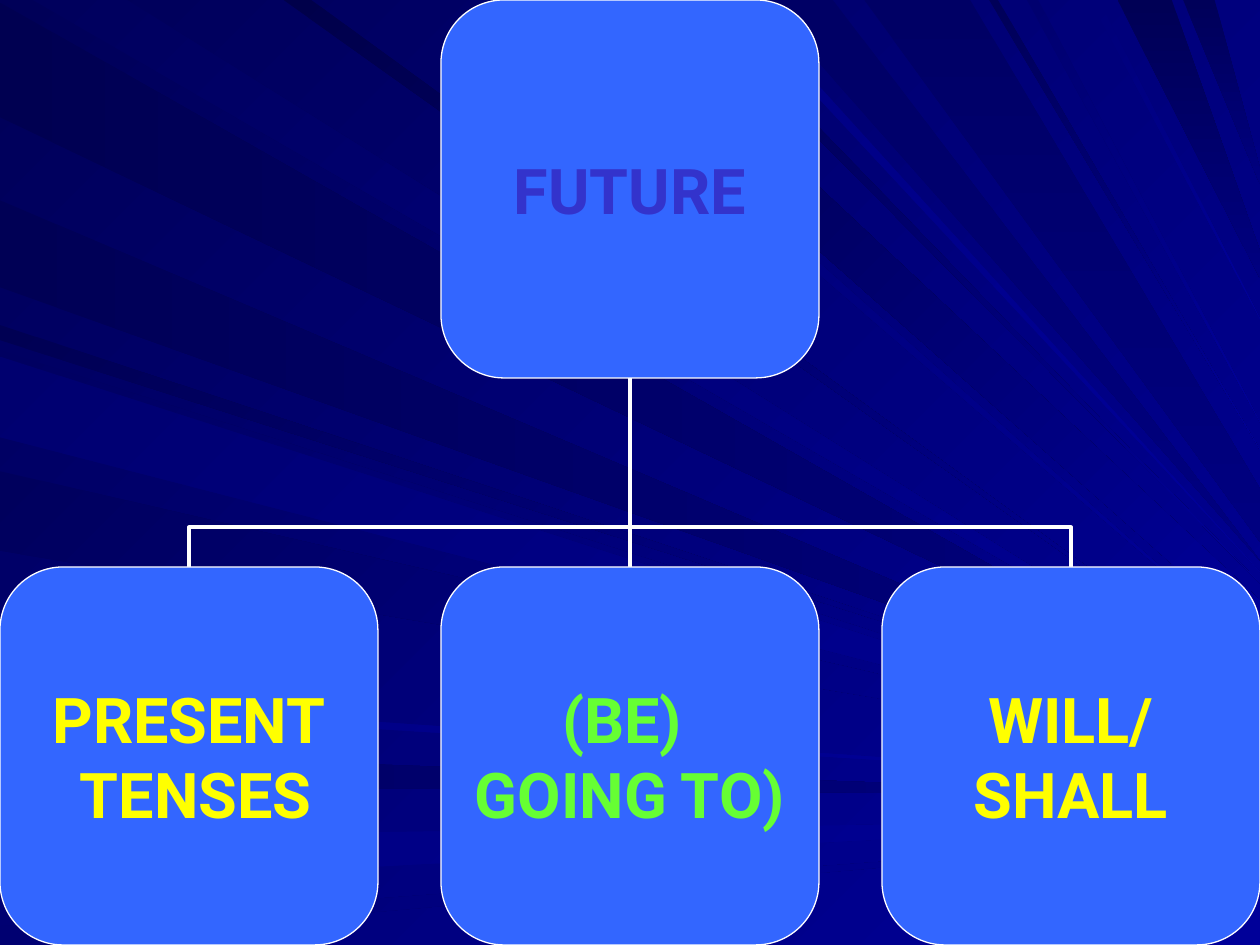
from lxml import etree
from pptx import Presentation
from pptx.dml.color import RGBColor
from pptx.enum import shapes, text
from pptx.oxml.ns import qn
from pptx.util import Inches, Pt

WHITE = RGBColor(0xFF, 0xFF, 0xFF)
BOX_BLUE = RGBColor(0x33, 0x66, 0xFF)
INDIGO = RGBColor(0x33, 0x33, 0xCC)
YELLOW = RGBColor(0xFF, 0xFF, 0x00)
GREEN = RGBColor(0x66, 0xFF, 0x33)
NIGHT = RGBColor(0x00, 0x00, 0x58)
NAVY = RGBColor(0x00, 0x00, 0x80)
ROYAL = RGBColor(0x00, 0x00, 0x99)


def paint(fill, start, end, angle):
    """Fill with a two-colour gradient; the angle runs clockwise."""
    fill.gradient()
    fill.gradient_angle = (360 - angle) % 360
    for stop, color in zip(fill.gradient_stops, (start, end)):
        stop.color.rgb = color


def write(shape, lines, *, color, size=36, font="Roboto"):
    tf = shape.text_frame
    tf.word_wrap = False
    tf.vertical_anchor = text.MSO_ANCHOR.MIDDLE
    tf.margin_left = tf.margin_right = tf.margin_top = tf.margin_bottom = 0
    for i, line in enumerate(lines):
        p = tf.add_paragraph() if i else tf.paragraphs[0]
        p.alignment = text.PP_ALIGN.CENTER
        r = p.add_run()
        r.text = line
        r.font.name, r.font.size, r.font.bold = font, Pt(size), True
        r.font.color.rgb = color


WIDTH, HEIGHT = 10, 7.5
prs = Presentation()
prs.slide_width, prs.slide_height = Inches(WIDTH), Inches(HEIGHT)
s = prs.slides.add_slide(prs.slide_layouts[6])
paint(s.background.fill, NIGHT, ROYAL, 45)

# Each ray runs from a span on the left or top edge to a height on the right edge.
# A "fan" starts at the top and keeps part of its width; the others end in a point.
FAN_SPREAD = 0.5
RAYS = [
    ("left", 0x51, NAVY, 0.02, 0.93, 5.7),
    ("top", 0x5D, ROYAL, 0.26, 1.01, 5.63),
    ("left", 0x61, NAVY, 5.96, 6.23, 6.32),
    ("left", 0x7D, ROYAL, 6.65, 7.04, 6.5),
    ("left", 0x6F, ROYAL, 7.35, 7.5, 6.62),
    ("left", 0x53, ROYAL, 2.58, 2.7, 5.89),
    ("left", 0x55, NAVY, 1.59, 2.28, 5.85),
    ("top", 0x6B, ROYAL, 3.98, 4.16, 5.2),
    ("fan", 0x47, ROYAL, 4.26, 4.92, 4.93),
    ("top", 0x4F, ROYAL, 5.4, 5.52, 4.63),
    ("top", 0x65, NAVY, 6.06, 6.61, 4.45),
    ("fan", 0x55, NAVY, 8.87, 9.3, 2.1),
    ("fan", 0x59, NAVY, 9.39, 9.64, 1.4),
    ("left", 0x61, ROYAL, 2.78, 3.42, 6),
    ("left", 0x5D, ROYAL, 3.74, 4.37, 6.05),
    ("left", 0x82, ROYAL, 5.52, 5.6, 6.22),
    ("top", 0x4A, ROYAL, 2.25, 2.47, 5.5),
    ("top", 0x82, ROYAL, 5.77, 5.88, 4.54),
    ("fan", 0x65, NAVY, 6.86, 7.7, 4.09),
    ("top", 0x58, ROYAL, 7.85, 7.92, 3.57),
    ("top", 0x6F, ROYAL, 8.15, 8.24, 3.35),
    ("top", 0x79, ROYAL, 8.65, 8.72, 2.53),
    ("left", 0x6F, ROYAL, 2.83, 3.47, 6.05),
]
for edge, shade, end, near, far, tip in RAYS:
    half = FAN_SPREAD * (far - near) / 2 if edge == "fan" else 0
    span = [(0, near), (0, far)] if edge == "left" else [(far, 0), (near, 0)]
    corners = span + [(WIDTH, tip + half), (WIDTH, tip - half)]
    points = [(Inches(x), Inches(y)) for x, y in corners]
    builder = s.shapes.build_freeform(*points[0])
    builder.add_line_segments(points[1:], close=True)
    sp = builder.convert_to_shape()
    sp.shadow.inherit = False
    sp.line.fill.background()
    angle = 45 if end == ROYAL else 0 if edge == "left" else 90
    paint(sp.fill, RGBColor(0, 0, shade), end, angle)

BOX = 3
COLUMNS = [i * (WIDTH - BOX) / 2 for i in range(3)]
ROW = HEIGHT - BOX
MIDDLE = WIDTH / 2

# Branches from the lower boxes to the top box; elbows are placed before rotation
ELBOW, STRAIGHT = shapes.MSO_CONNECTOR.ELBOW, shapes.MSO_CONNECTOR.STRAIGHT
BRANCHES = [
    (ELBOW, (6, 5.5), (7.5, 2), 270),
    (STRAIGHT, (MIDDLE, ROW), (MIDDLE, BOX), 0),
    (ELBOW, (4, 5.5), (2.5, 2), 90),
]
for kind, begin, end, rotation in BRANCHES:
    cxn = s.shapes.add_connector(kind, *map(Inches, begin + end))
    cxn.line.color.rgb = WHITE
    cxn.line.width = Pt(2.25)
    spPr = cxn._element.spPr
    etree.SubElement(spPr, qn("a:effectLst"))
    if kind == ELBOW:
        spPr.find(qn("a:xfrm")).set("rot", str(rotation * 60000))
        guides = spPr.find(qn("a:prstGeom")).find(qn("a:avLst"))
        etree.SubElement(guides, qn("a:gd"), name="adj1", fmla="val 20900")

BOXES = [
    (COLUMNS[1], 0, ["FUTURE"], INDIGO),
    (COLUMNS[0], ROW, ["PRESENT", " TENSES"], YELLOW),
    (COLUMNS[1], ROW, ["(BE) ", "GOING TO)"], GREEN),
    (COLUMNS[2], ROW, ["WILL/", "SHALL"], YELLOW),
]
for left, top, lines, color in BOXES:
    sp = s.shapes.add_shape(shapes.MSO_SHAPE.ROUNDED_RECTANGLE,
                            Inches(left), Inches(top), Inches(BOX), Inches(BOX))
    sp.shadow.inherit = False
    sp.fill.solid()
    sp.fill.fore_color.rgb = BOX_BLUE
    sp.line.color.rgb = WHITE
    sp.line.width = Pt(0.75)
    write(sp, lines, color=color)

prs.save("out.pptx")
